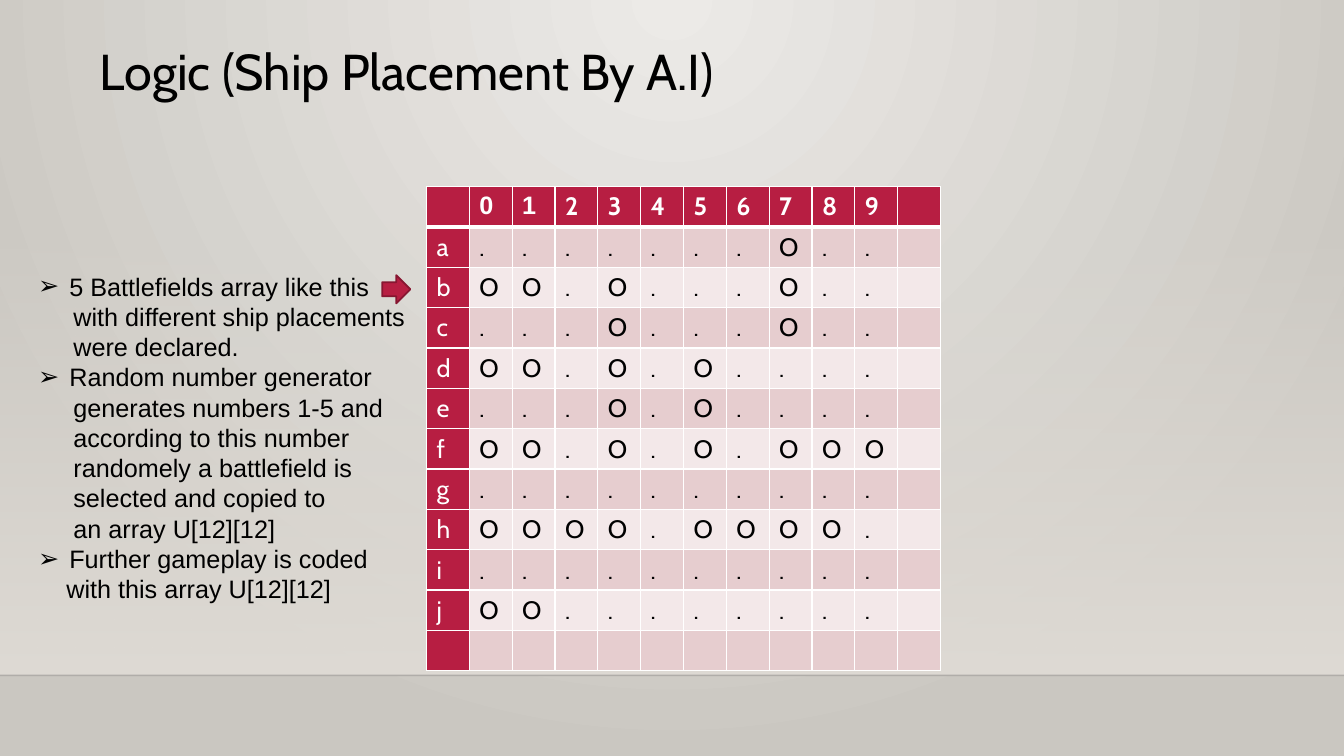
from lxml.etree import SubElement
from pptx import Presentation
from pptx.dml.color import RGBColor
from pptx.enum.shapes import MSO_CONNECTOR, MSO_SHAPE
from pptx.oxml.ns import qn
from pptx.util import Inches, Pt


def color(hex_string):
    return RGBColor.from_string(hex_string)


def style(font, name, size, hex_string, bold=False):
    font.name = name
    font.size = Pt(size)
    font.bold = bold
    font.color.rgb = color(hex_string)


prs = Presentation()
prs.slide_width = Inches(13.33)
prs.slide_height = Inches(7.5)
slide = prs.slides.add_slide(prs.slide_layouts[6])
shapes = slide.shapes

backdrop = slide.background.fill
backdrop.gradient()
for stop, shade in zip(backdrop.gradient_stops, ["ECEAE7", "CAC7C1"]):
    stop.color.rgb = color(shade)
gradient = slide.element.find(".//" + qn("a:gradFill"))
gradient.remove(gradient.find(qn("a:lin")))
glow = SubElement(gradient, qn("a:path"), path="circle")
SubElement(glow, qn("a:fillToRect"), l="43000", t="0", r="43000", b="100000")

wall = shapes.add_shape(MSO_SHAPE.RECTANGLE, 0, Inches(2.21), prs.slide_width, Inches(4.49))
wall.shadow.inherit = False
wall.line.fill.background()
wall.fill.gradient()
wall.fill.gradient_angle = 270
for stop in wall.fill.gradient_stops:
    stop.color.rgb = color("DFDBD5")
SubElement(wall.element.find(".//" + qn("a:srgbClr")), qn("a:alpha"), val="0")

floor_edge = shapes.add_connector(
    MSO_CONNECTOR.STRAIGHT, 0, Inches(6.7), prs.slide_width, Inches(6.7))
floor_edge.line.width = Pt(1)
floor_edge.line.color.rgb = color("000001")
SubElement(floor_edge.element.find(".//" + qn("a:srgbClr")), qn("a:alpha"), val="20000")
SubElement(floor_edge.element.spPr, qn("a:effectLst"))

title = shapes.add_textbox(Inches(0.89), Inches(0.35), Inches(7.64), Inches(0.71)).text_frame
title.word_wrap = True
title.text = "Logic (Ship Placement By A.I)"
style(title.paragraphs[0].font, "Cabin", 36, "000000")

battlefield = [
    " 0123456789 ",
    "a.......O.. ",
    "bOO.O...O.. ",
    "c...O...O.. ",
    "dOO.O.O.... ",
    "e...O.O.... ",
    "fOO.O.O.OOO ",
    "g.......... ",
    "hOOOO.OOOO. ",
    "i.......... ",
    "jOO........ ",
    " " * 12,
]
grid = shapes.add_table(
    12, 12, Inches(4.23), Inches(1.85), Inches(5.1), Inches(4.8)).table
grid.first_row = False
grid.horz_banding = False
for r, marks in enumerate(battlefield):
    for c, mark in enumerate(marks):
        cell = grid.cell(r, c)
        heading = r == 0 or c == 0
        properties = cell._tc.get_or_add_tcPr()
        for side in "LRTB":
            weight = Pt(3) if r == 0 and side == "B" else Pt(1)
            border = SubElement(properties, qn("a:ln" + side), w=str(weight))
            SubElement(SubElement(border, qn("a:solidFill")), qn("a:srgbClr"), val="FFFFFF")
        cell.fill.solid()
        band = "E6CDCF" if r % 2 else "F3E8E9"
        cell.fill.fore_color.rgb = color("B71E42" if heading else band)
        cell.text = mark.strip()
        style(cell.text_frame.paragraphs[0].font,
              "Arial" if r == 0 and c in (1, 2) else "Cabin",
              18, "FFFFFF" if heading else "000000", r == 0)

points = [
    (0.35, ["5 Battlefields array like this", "with different ship placements",
            "were declared."]),
    (0.35, ["Random number generator", "generates numbers 1-5 and",
            "according to this number", "randomely a battlefield is",
            "selected and copied to", "an array U[12][12]"]),
    (0.28, ["Further gameplay is coded", "with this array U[12][12]"]),
]
notes = shapes.add_textbox(Inches(0.28), Inches(2.64), Inches(3.9), Inches(3.43)).text_frame
notes.word_wrap = True
paragraph = notes.paragraphs[0]
for margin, lines in points:
    for i, line in enumerate(lines):
        if paragraph is None:
            paragraph = notes.add_paragraph()
        paragraph.text = line
        layout = paragraph._p.get_or_add_pPr()
        if i == 0:
            layout.set("marL", str(Inches(0.31)))
            layout.set("indent", str(-Inches(0.31)))
            SubElement(layout, qn("a:buFont"), typeface="Arial")
            SubElement(layout, qn("a:buChar"), char="➢")
        else:
            layout.set("marL", str(Inches(margin)))
            layout.set("indent", "0")
        style(paragraph.font, "Arial", 18, "000000")
        paragraph = None

pointer = shapes.add_shape(
    MSO_SHAPE.RIGHT_ARROW, Inches(3.79), Inches(2.73), Inches(0.28), Inches(0.28))
pointer.shadow.inherit = False
pointer.fill.solid()
pointer.fill.fore_color.rgb = color("B71E42")
pointer.line.color.rgb = color("871631")
pointer.line.width = Pt(1.25)

prs.save("out.pptx")
